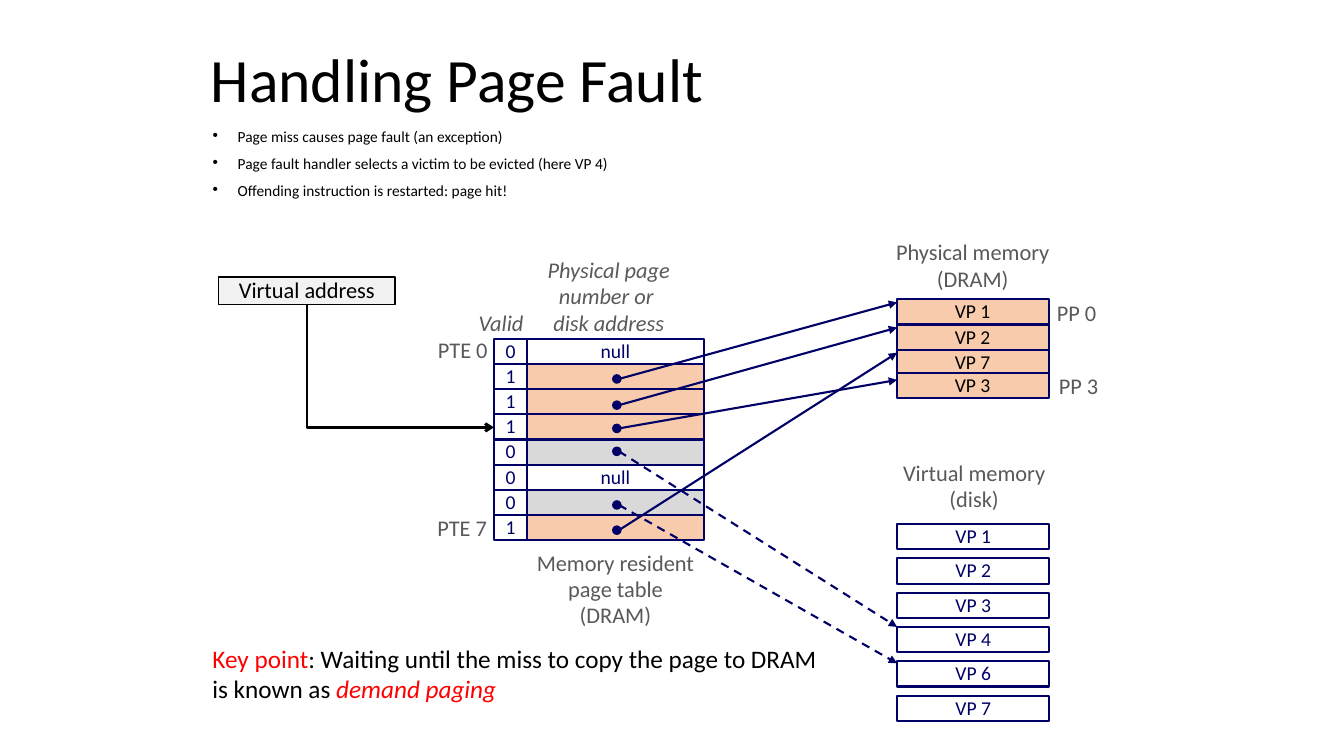
from lxml.etree import SubElement
from pptx import Presentation
from pptx.dml.color import RGBColor
from pptx.enum.dml import MSO_LINE
from pptx.enum.shapes import MSO_CONNECTOR as Link, MSO_SHAPE as Preset
from pptx.enum.text import MSO_ANCHOR as Anchor, MSO_AUTO_SIZE as AutoSize, PP_ALIGN as Align
from pptx.oxml.ns import qn
from pptx.util import Pt

NAVY, BLACK, GREY, RED, WHITE = "000066", "000000", "595959", "FF0000", "FFFFFF"
PEACH, SILVER, PALE = "F8CBAD", "D9D9D9", "F2F2F2"

TITLE = "Handling Page Fault"
BULLETS = [
    "Page miss causes page fault (an exception)",
    "Page fault handler selects a victim to be evicted (here VP 4)",
    "Offending instruction is restarted: page hit!",
]
KEY_POINT = [
    ("Key point", {"color": RED}),
    (": Waiting until the miss to copy the page to DRAM is known as ", {}),
    ("demand paging", {"color": RED, "italic": True}),
]
# valid bit, address text, fill, dot centre y, arrow target y, dashed
PAGE_TABLE = [
    ("0", "null", WHITE, None, None, False),
    ("1", "", PEACH, 270.7, 216, False),
    ("1", "", PEACH, 289.4, 234, False),
    ("1", "", PEACH, 306, 271.4, False),
    ("0", "", SILVER, 322.4, 447.8, True),
    ("0", "null", WHITE, None, None, False),
    ("0", "", SILVER, 360.7, 473.8, True),
    ("1", "", PEACH, 378.7, 252, False),
]
PHYSICAL_PAGES = [("VP 1", 213.8), ("VP 2", 231.8), ("VP 7", 249.8), ("VP 3", 266.4)]
DISK_PAGES = ["VP 1", "VP 2", "VP 3", "VP 4", "VP 6", "VP 7"]
# lines, box, alignment, anchor, italic
LABELS = [
    (["Memory resident", "page table", "(DRAM)"], (373, 389.5, 133.2, 64.1), Align.CENTER, Anchor.TOP, False),
    (["Physical memory", "(DRAM)"], (630.7, 167.8, 128.2, 45.4), Align.CENTER, Anchor.TOP, False),
    (["Virtual memory", "(disk)"], (635, 325.4, 121.7, 45.4), Align.CENTER, Anchor.TOP, False),
    (["Valid"], (334.8, 218.2, 54, 26.6), Align.LEFT, Anchor.TOP, True),
    (["Physical page", "number or ", "disk address"], (382.3, 180, 105.1, 64.1), Align.CENTER, Anchor.MIDDLE, True),
    (["PTE 0"], (305, 236.9, 50.4, 26.6), Align.RIGHT, Anchor.MIDDLE, False),
    (["PTE 7"], (304.6, 364.3, 50.4, 26.6), Align.RIGHT, Anchor.MIDDLE, False),
    (["PP 0"], (747.4, 211, 43.2, 26.6), Align.CENTER, Anchor.MIDDLE, False),
    (["PP 3"], (748.8, 262.8, 43.2, 26.6), Align.CENTER, Anchor.MIDDLE, False),
]

ROW_HEIGHT, TABLE_TOP = 18, 241.9
VALID_LEFT, VALID_WIDTH, ADDRESS_LEFT, ADDRESS_WIDTH = 352.8, 23.8, 376.6, 126
DOT_X, DOT_SIZE = 440.6, 5.8
PAGE_LEFT, PAGE_WIDTH = 640.4, 108.7
DISK_TOP, DISK_PITCH = 374.4, 24.5


def rgb(color):
    """Turn a hex string into a colour."""
    return RGBColor.from_string(color)


def apply(target, values):
    """Set every attribute named in a dict."""
    for name, value in values.items():
        setattr(target, name, value)


def add_run(paragraph, text, size, color=BLACK, italic=None):
    """Append one formatted run to a paragraph."""
    run = paragraph.add_run()
    run.text = text
    apply(run.font, {"size": Pt(size), "name": "Calibri", "italic": italic})
    run.font.color.rgb = rgb(color)


def write(shape, paragraphs, frame_format, paragraph_format):
    """Fill a text frame; each paragraph is a list of run argument tuples."""
    frame = shape.text_frame
    apply(frame, frame_format)
    for index, runs in enumerate(paragraphs):
        paragraph = frame.add_paragraph() if index else frame.paragraphs[0]
        apply(paragraph, paragraph_format)
        for run in runs:
            add_run(paragraph, *run)
    return frame


def add_box(box, fill, text="", color=NAVY, line=NAVY, size=14, width=1.5, preset=Preset.RECTANGLE):
    """Draw an outlined shape with centred text."""
    shape = slide.shapes.add_shape(preset, *map(Pt, box))
    shape.shadow.inherit = False
    shape.fill.solid()
    shape.fill.fore_color.rgb = rgb(fill)
    shape.line.color.rgb = rgb(line)
    shape.line.width = Pt(width)
    if text:
        write(shape, [[(text, size, color)]],
              {"word_wrap": False, "vertical_anchor": Anchor.MIDDLE},
              {"alignment": Align.CENTER, "line_spacing": 0.98})


def add_text(box, paragraphs, frame_format, paragraph_format):
    """Add a text box and return its frame."""
    return write(slide.shapes.add_textbox(*map(Pt, box)), paragraphs, frame_format, paragraph_format)


def add_arrow(start, end, color=NAVY, width=1.5, head="triangle", dashed=False, kind=Link.STRAIGHT):
    """Draw a connector with an arrowhead at its end."""
    connector = slide.shapes.add_connector(kind, *map(Pt, start + end))
    connector.line.color.rgb = rgb(color)
    connector.line.width = Pt(width)
    if dashed:
        connector.line.dash_style = MSO_LINE.DASH
    SubElement(connector.line._get_or_add_ln(), qn("a:tailEnd"), type=head)
    properties = connector._element.spPr
    SubElement(properties, qn("a:effectLst"))
    return properties


def add_down_right_arrow(start, end):
    """Draw a one-bend arrow that goes down, then right."""
    (left, top), (right, bottom) = start, end
    middle_x, middle_y = (left + right) / 2, (top + bottom) / 2
    half_width, half_height = (bottom - top) / 2, (right - left) / 2
    properties = add_arrow((middle_x + half_width, middle_y - half_height),
                           (middle_x - half_width, middle_y + half_height),
                           BLACK, 2, "arrow", kind=Link.ELBOW)
    properties.find(qn("a:prstGeom")).set("prst", "bentConnector2")
    properties.find(qn("a:xfrm")).set("rot", str(270 * 60000))


presentation = Presentation()
apply(presentation, {"slide_width": Pt(960), "slide_height": Pt(540)})
slide = presentation.slides.add_slide(presentation.slide_layouts[5])

title = slide.shapes.title
apply(title, {"left": Pt(143.3), "top": Pt(28.1), "width": Pt(652.3), "height": Pt(61.9)})
write(title, [[(TITLE, 44)]],
      {"auto_size": AutoSize.NONE, "vertical_anchor": Anchor.MIDDLE},
      {"alignment": Align.LEFT, "line_spacing": 0.9})

bullet_frame = add_text((144.7, 90.7, 654.5, 59.8), [[(text, 11)] for text in BULLETS],
                        {"word_wrap": True}, {"line_spacing": 0.7, "space_before": Pt(10)})
for paragraph in bullet_frame.paragraphs:
    properties = paragraph._p.get_or_add_pPr()
    properties.set("marL", str(Pt(18)))
    properties.set("indent", str(-Pt(18)))
    SubElement(properties, qn("a:buFont"), typeface="Arial")
    SubElement(properties, qn("a:buChar"), char="•")

for row, (valid, address, fill, *_) in enumerate(PAGE_TABLE):
    top = TABLE_TOP + row * ROW_HEIGHT
    add_box((ADDRESS_LEFT, top, ADDRESS_WIDTH, ROW_HEIGHT), fill, address)
    add_box((VALID_LEFT, top, VALID_WIDTH, ROW_HEIGHT), WHITE, valid)

for name, top in PHYSICAL_PAGES:
    add_box((PAGE_LEFT, top, PAGE_WIDTH, ROW_HEIGHT), PEACH, name, BLACK)
for index, name in enumerate(DISK_PAGES):
    add_box((PAGE_LEFT + 0.4, DISK_TOP + index * DISK_PITCH, PAGE_WIDTH, ROW_HEIGHT), WHITE, name)

for *_, dot_y, target_y, dashed in PAGE_TABLE:
    if dot_y:
        add_arrow((DOT_X + 1.5, dot_y), (PAGE_LEFT + 0.4, target_y), dashed=dashed)
        add_box((DOT_X - DOT_SIZE / 2, dot_y - DOT_SIZE / 2, DOT_SIZE, DOT_SIZE),
                NAVY, width=1, preset=Preset.OVAL)

for lines, box, alignment, anchor, italic in LABELS:
    add_text(box, [[(line, 16, GREY, italic)] for line in lines],
             {"word_wrap": False, "vertical_anchor": anchor},
             {"alignment": alignment, "line_spacing": 0.98})

add_box((156.2, 198, 126, 19.4), PALE, "Virtual address", BLACK, BLACK, 16, 1)
add_down_right_arrow((219.2, 217.4), (VALID_LEFT, 305.3))

key_runs = [(text, 18, style.get("color", BLACK), style.get("italic")) for text, style in KEY_POINT]
add_text((144.7, 455.8, 455.8, 51.1), [key_runs], {"word_wrap": True}, {})

presentation.save("out.pptx")
